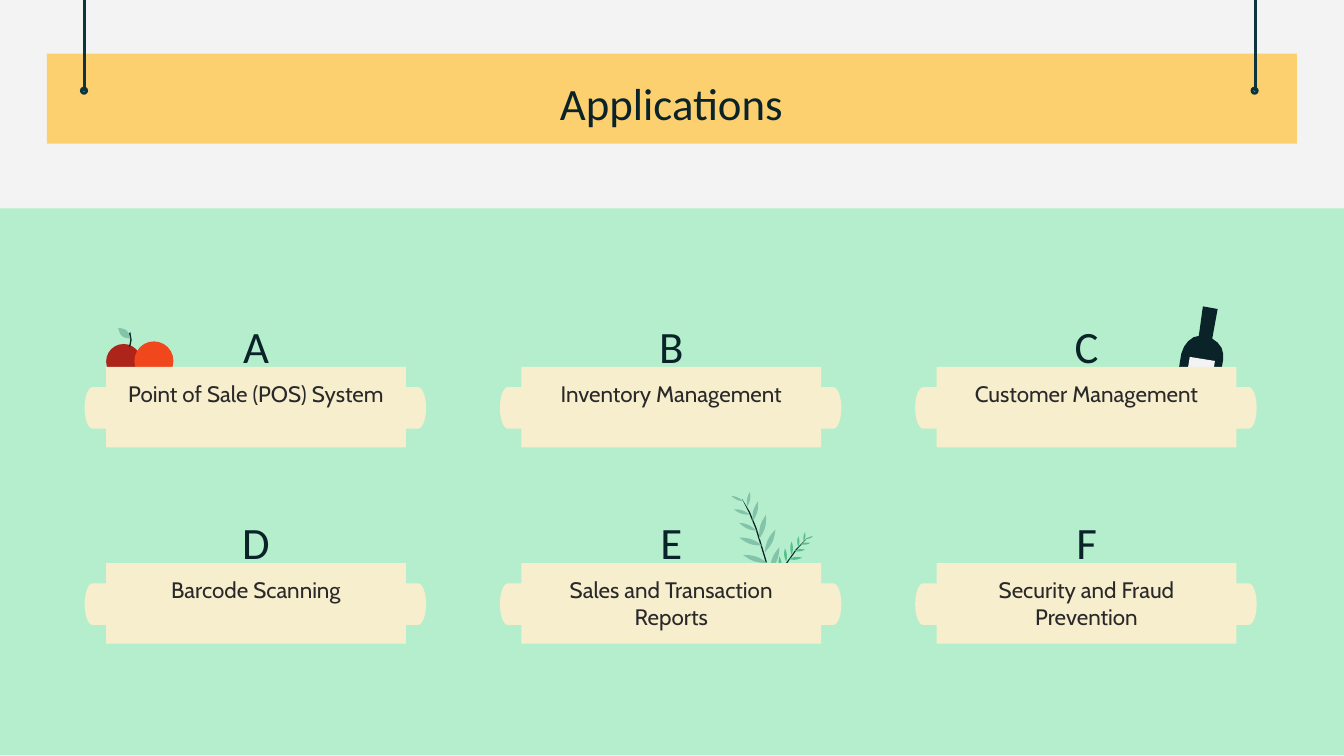
from math import pi, sin

from lxml.etree import SubElement
from pptx import Presentation
from pptx.dml.color import RGBColor
from pptx.enum.shapes import MSO_CONNECTOR, MSO_SHAPE
from pptx.enum.text import MSO_ANCHOR, PP_ALIGN
from pptx.oxml.ns import qn
from pptx.util import Inches, Pt

COLORS = {
    "wall": "F3F3F3", "counter": "B5EECC", "banner": "FCD06F", "string": "0C343D",
    "ink": "092329", "text": "2A2929", "label": "F7EECE", "sage": "83C3A9",
    "green": "57BF8E", "red": "AD241B", "orange": "F1471D",
}
WIDTH = 10
HEIGHT = WIDTH * 9 / 16
LEFT, TOP, COLUMN, ROW = 0.79, 2.73, 3.09, 1.46
LABEL_W, LABEL_H = 2.23, 0.6
CAP_W, CAP_H = 0.36, 0.31


def paint(shape, color):
    shape.shadow.inherit = False
    shape.fill.solid()
    shape.fill.fore_color.rgb = RGBColor.from_string(COLORS[color])
    shape.line.fill.background()
    return shape


def write(shape, text, size=12, font="Cabin", color="text", anchor=MSO_ANCHOR.TOP, top=0.1, bottom=0.1):
    frame = shape.text_frame
    frame.word_wrap = True
    frame.vertical_anchor = anchor
    frame.margin_left = frame.margin_right = Inches(0.1)
    frame.margin_top, frame.margin_bottom = Inches(top), Inches(bottom)
    paragraph = frame.paragraphs[0]
    paragraph.alignment = PP_ALIGN.CENTER
    run = paragraph.add_run()
    run.text = text
    run.font.size, run.font.name = Pt(size), font
    run.font.color.rgb = RGBColor.from_string(COLORS[color])


deck = Presentation()
deck.slide_width, deck.slide_height = Inches(WIDTH), Inches(HEIGHT)
slide = deck.slides.add_slide(deck.slide_layouts[5])
shapes = slide.shapes
slide.background.fill.solid()
slide.background.fill.fore_color.rgb = RGBColor.from_string(COLORS["wall"])

# Counter across the lower part
paint(shapes.add_shape(MSO_SHAPE.RECTANGLE, Inches(-0.03), Inches(1.55), Inches(10.05), Inches(4.07)), "counter")

# Apples
for x, y, size, color in [(0.79, 2.56, 0.26, "red"), (1, 2.54, 0.29, "orange")]:
    paint(shapes.add_shape(MSO_SHAPE.OVAL, Inches(x), Inches(y), Inches(size), Inches(size)), color)

# Outlines of the bottle and the stems
outlines = [
    ("ink", [(8.95, 2.28), (8.92, 2.5), (8.88, 2.51), (8.84, 2.54), (8.81, 2.58), (8.79, 2.63),
             (8.69, 3.23), (8.7, 3.27), (8.74, 3.29), (8.94, 3.32), (8.98, 3.31), (9, 3.28),
             (9.1, 2.68), (9.1, 2.63), (9.09, 2.59), (9.06, 2.55), (9.02, 2.52), (9.06, 2.3)]),
    ("ink", [(5.52, 3.71), (5.57, 3.81), (5.62, 3.93), (5.69, 4.16), (5.77, 4.47),
             (5.78, 4.47), (5.7, 4.16), (5.63, 3.93), (5.58, 3.81)]),
    ("ink", [(6.01, 4), (5.92, 4.09), (5.82, 4.23), (5.74, 4.36), (5.75, 4.36), (5.83, 4.23), (5.93, 4.09)]),
    ("ink", [(0.96, 2.48), (0.97, 2.53), (0.96, 2.58), (0.97, 2.58), (0.98, 2.53), (0.97, 2.47)]),
]

# Leaves: base x, base y, tip x, tip y
leaves = {
    ("sage", 0.1): [
        (5.73, 4.25, 5.8, 4.07), (5.69, 4.11, 5.77, 3.94), (5.65, 4.01, 5.7, 3.83),
        (5.6, 3.88, 5.64, 3.73), (5.56, 3.77, 5.58, 3.66), (5.53, 3.73, 5.44, 3.69),
        (5.58, 3.83, 5.46, 3.79), (5.63, 3.95, 5.5, 3.89), (5.67, 4.06, 5.5, 4),
        (5.71, 4.19, 5.53, 4.13)],
    ("green", 0.1): [
        (5.81, 4.25, 5.8, 4.14), (5.85, 4.18, 5.84, 4.08), (5.89, 4.13, 5.89, 4.03),
        (5.94, 4.07, 5.94, 3.99), (5.98, 4.03, 5.99, 3.96), (6, 4.01, 6.05, 3.99),
        (5.96, 4.05, 6.03, 4.04), (5.91, 4.1, 5.99, 4.09), (5.87, 4.16, 5.97, 4.15),
        (5.83, 4.22, 5.93, 4.21)],
    ("sage", 0.22): [(0.97, 2.52, 0.88, 2.44)],
}
STEPS = 8
for (color, plumpness), blades in leaves.items():
    for x0, y0, x1, y1 in blades:
        dx, dy = x1 - x0, y1 - y0
        edge = []
        for step in range(2 * STEPS):
            along = 1 - abs(step / STEPS - 1)
            side = plumpness * sin(pi * step / STEPS)
            edge.append((x0 + dx * along - dy * side, y0 + dy * along + dx * side))
        outlines.append((color, edge))

for color, points in outlines:
    corners = [(Inches(x), Inches(y)) for x, y in points]
    builder = shapes.build_freeform(*corners[0])
    builder.add_line_segments(corners[1:], close=True)
    paint(builder.convert_to_shape(), color)

# Bottle sticker
sticker = paint(shapes.add_shape(MSO_SHAPE.RECTANGLE, Inches(8.84), Inches(2.67), Inches(0.19), Inches(0.14)), "wall")
sticker.rotation = 9.2

# Banner with the title in front
banner = paint(shapes.add_shape(MSO_SHAPE.RECTANGLE, Inches(0.35), Inches(0.4), Inches(9.3), Inches(0.67)), "banner")
title = shapes.title
title.left, title.top, title.width, title.height = Inches(1.5), Inches(0.46), Inches(6.99), Inches(0.63)
write(title, "Applications", size=24, font="Calibri", color="ink")
banner.element.addnext(title.element)

# Strings that hold the banner
for x in (0.63, 9.34):
    string = shapes.add_connector(MSO_CONNECTOR.STRAIGHT, Inches(x), 0, Inches(x), Inches(0.68))
    string.line.width = Pt(1.5)
    string.line.color.rgb = RGBColor.from_string(COLORS["string"])
    SubElement(string.element.spPr, qn("a:effectLst"))
    ring = paint(shapes.add_shape(MSO_SHAPE.DONUT, Inches(x - 0.03), Inches(0.65), Inches(0.05), Inches(0.05)), "string")
    ring.line.width = Pt(0.75)
    ring.line.color.rgb = RGBColor.from_string(COLORS["string"])

# Lettered labels on a grid of three columns and two rows
applications = [
    "Point of Sale (POS) System", "Inventory Management", "Customer Management",
    "Barcode Scanning", "Sales and Transaction Reports", "Security and Fraud Prevention",
]
for index, (letter, application) in enumerate(zip("ABCDEF", applications)):
    row, column = divmod(index, 3)
    x, y = LEFT + column * COLUMN, TOP + row * ROW
    for cap_x, turn in [(x - 0.16, 0), (x + LABEL_W - 0.21, 180)]:
        cap = paint(shapes.add_shape(MSO_SHAPE.FLOWCHART_STORED_DATA, Inches(cap_x), Inches(y + 0.15),
                                     Inches(CAP_W), Inches(CAP_H)), "label")
        cap.rotation = turn
    label = paint(shapes.add_shape(MSO_SHAPE.RECTANGLE, Inches(x), Inches(y), Inches(LABEL_W), Inches(LABEL_H)), "label")
    write(label, application)
    heading = shapes.add_textbox(Inches(x), Inches(y - 0.46), Inches(LABEL_W), Inches(0.5))
    write(heading, letter, size=24, font="Calibri", color="ink", anchor=MSO_ANCHOR.BOTTOM, top=0, bottom=0)

deck.save("out.pptx")
